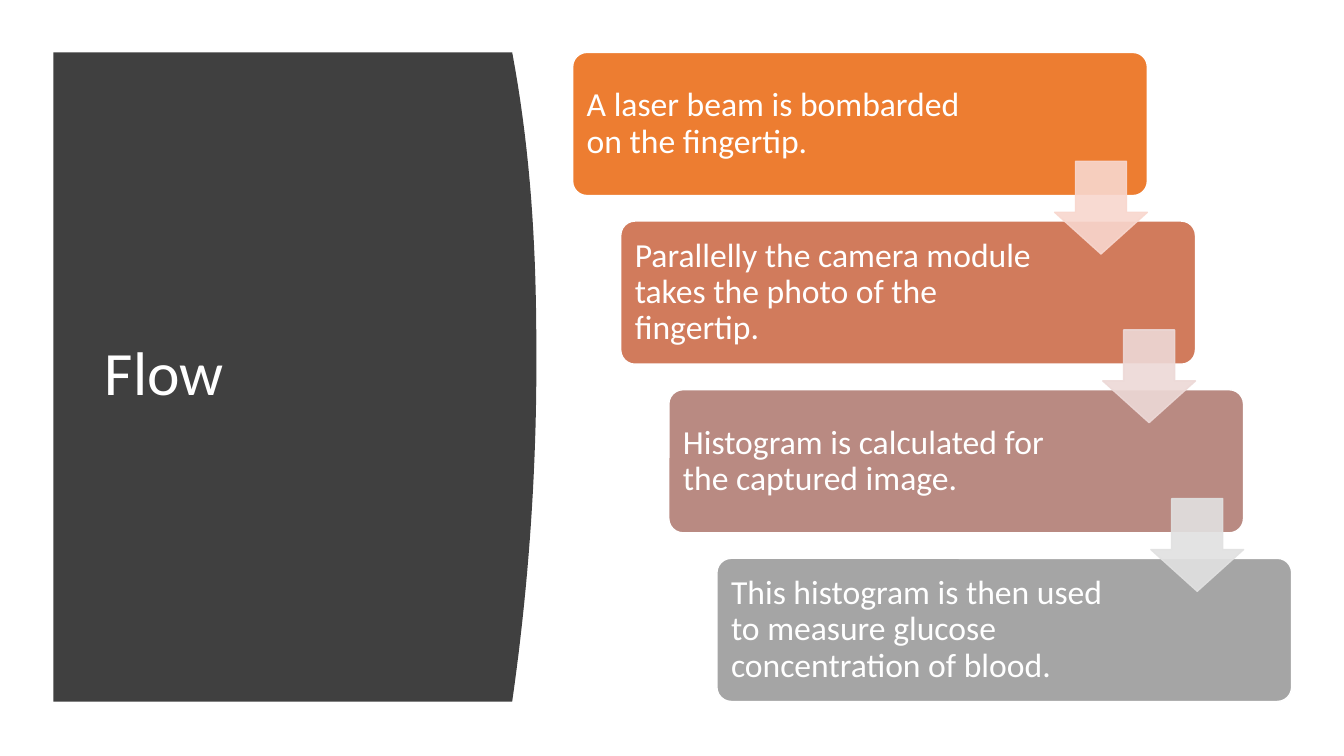
from dataclasses import dataclass

from lxml.etree import SubElement
from pptx import Presentation
from pptx.dml.color import RGBColor
from pptx.enum.shapes import MSO_SHAPE
from pptx.enum.text import MSO_ANCHOR, MSO_AUTO_SIZE, PP_ALIGN
from pptx.oxml.ns import qn
from pptx.util import Inches, Pt


@dataclass(frozen=True)
class Theme:
    font: str = "Calibri"
    white: str = "FFFFFF"
    panel: str = "404040"
    steps: tuple = ("ED7D31", "D17B5C", "B98A82", "A5A5A5")
    arrows: tuple = ("F8D7CE", "EDD9D7", "E1E1E1")
    title: int = 44
    body: int = 24
    line: int = 1
    alpha: int = 90


THEME = Theme()
STEPS = (
    "A laser beam is bombarded on the fingertip.",
    "Parallelly the camera module takes the photo of the fingertip.",
    "Histogram is calculated for the captured image.",
    "This histogram is then used to measure glucose concentration of blood.",
)
LEFT, TOP = 5.68, 0.52
WIDTH, HEIGHT = 5.7, 1.42
SHIFT, DROP = 0.477, 1.673
ARROW = 0.92


def paint(shape, fill, line=None):
    shape.shadow.inherit = False
    shape.fill.solid()
    shape.fill.fore_color.rgb = RGBColor.from_string(fill)
    if line is None:
        shape.line.fill.background()
    else:
        shape.line.color.rgb = RGBColor.from_string(line)
        shape.line.width = Pt(THEME.line)


def write(shape, text, size):
    frame = shape.text_frame
    frame.text = text
    frame.word_wrap = True
    frame.auto_size = MSO_AUTO_SIZE.NONE
    frame.vertical_anchor = MSO_ANCHOR.MIDDLE
    para = frame.paragraphs[0]
    para.alignment = PP_ALIGN.LEFT
    para.line_spacing = 0.9
    font = para.runs[0].font
    font.name = THEME.font
    font.size = Pt(size)
    font.color.rgb = RGBColor.from_string(THEME.white)


def edge(y):
    peak, top, base = 3.6, 0.52, 6.96
    if y < peak:
        bend = ((peak - y) / (peak - top)) ** 2.4
    else:
        bend = ((y - peak) / (base - peak)) ** 2
    return 5.32 - 0.24 * bend


def add_panel(slide):
    left, top, base, count = 0.53, 0.52, 6.96, 40
    rows = [top + (base - top) * i / count for i in range(count + 1)]
    curve = [(Inches(edge(y)), Inches(y)) for y in rows]
    outline = slide.shapes.build_freeform(Inches(left), Inches(top))
    outline.add_line_segments(curve + [(Inches(left), Inches(base))])
    paint(outline.convert_to_shape(), THEME.panel)


def add_title(slide, text):
    title = slide.shapes.title
    title.left, title.top = Inches(0.94), Inches(1.11)
    title.width, title.height = Inches(3.74), Inches(5.24)
    write(title, text, THEME.title)
    tree = title.element.getparent()
    tree.append(title.element)


def add_step(slide, index, text):
    box = slide.shapes.add_shape(
        MSO_SHAPE.ROUNDED_RECTANGLE,
        Inches(LEFT + SHIFT * index), Inches(TOP + DROP * index),
        Inches(WIDTH), Inches(HEIGHT))
    box.adjustments[0] = 0.1
    paint(box, THEME.steps[index], THEME.white)
    write(box, text, THEME.body)
    frame = box.text_frame
    frame.margin_left = Inches(0.1)
    frame.margin_right = Inches(1.5)


def add_arrow(slide, index, color):
    arrow = slide.shapes.add_shape(
        MSO_SHAPE.DOWN_ARROW,
        Inches(LEFT + WIDTH - ARROW + SHIFT * index),
        Inches(TOP + 1.08 + DROP * index),
        Inches(ARROW), Inches(ARROW))
    arrow.adjustments[0] = 0.55
    arrow.adjustments[1] = 0.45
    paint(arrow, color, color)
    for tint in arrow.element.spPr.iter(qn("a:srgbClr")):
        SubElement(tint, qn("a:alpha"), val=str(THEME.alpha * 1000))


def main():
    deck = Presentation()
    deck.slide_width, deck.slide_height = Inches(13.33), Inches(7.5)
    slide = deck.slides.add_slide(deck.slide_layouts[5])
    add_panel(slide)
    add_title(slide, "Flow")
    for index, text in enumerate(STEPS):
        add_step(slide, index, text)
    for index, color in enumerate(THEME.arrows):
        add_arrow(slide, index, color)
    deck.save("out.pptx")


if __name__ == "__main__":
    main()
